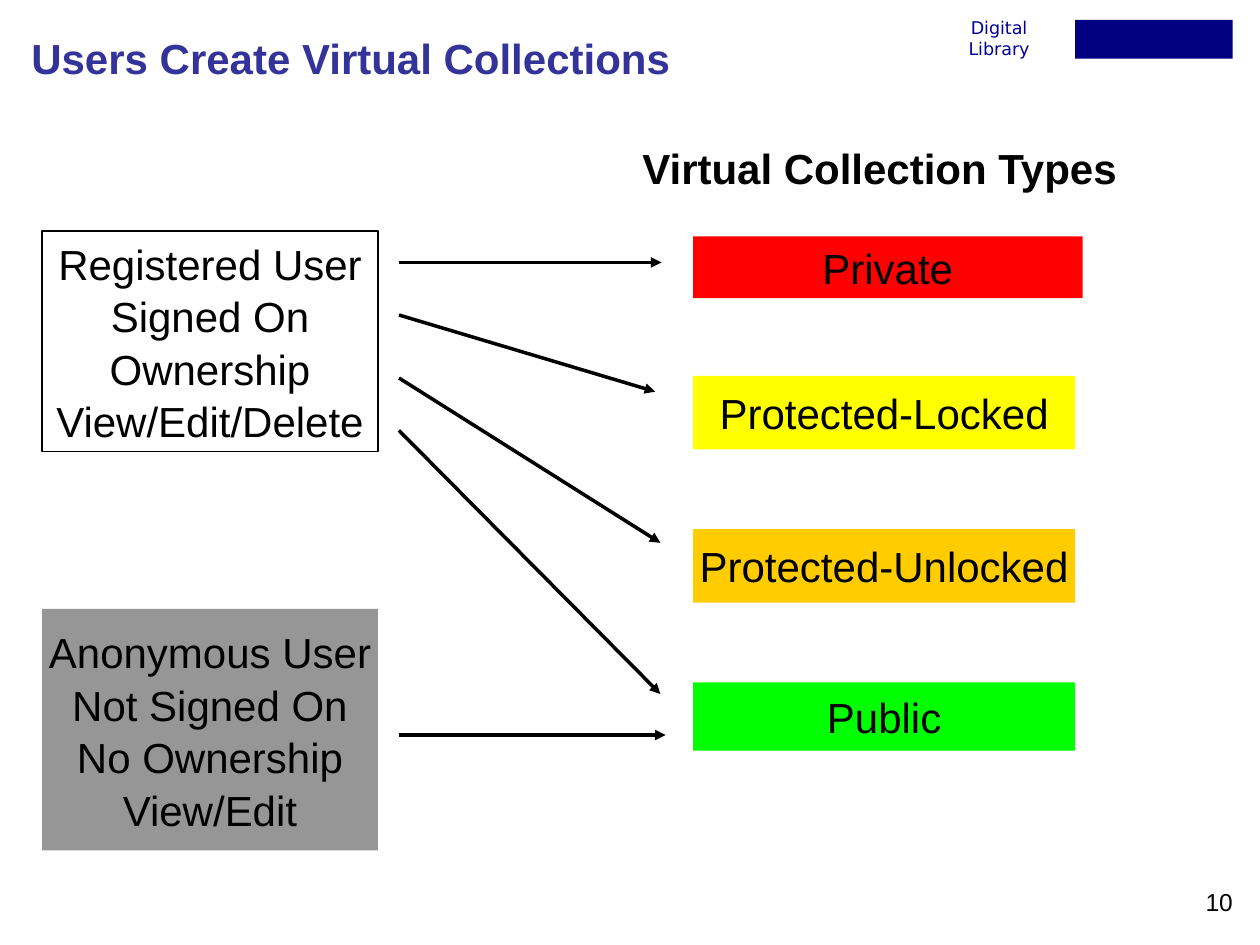
from dataclasses import dataclass

from lxml import etree
from pptx import Presentation
from pptx.dml.color import RGBColor
from pptx.enum.shapes import MSO_CONNECTOR, MSO_SHAPE
from pptx.enum.text import MSO_ANCHOR, PP_ALIGN
from pptx.oxml.ns import qn
from pptx.util import Inches, Length, Pt

RECTANGLE = MSO_SHAPE.RECTANGLE
STRAIGHT = MSO_CONNECTOR.STRAIGHT
TOP, MIDDLE = MSO_ANCHOR.TOP, MSO_ANCHOR.MIDDLE
LEFT, CENTER, RIGHT = PP_ALIGN.LEFT, PP_ALIGN.CENTER, PP_ALIGN.RIGHT

# The slide is a grid of 120 columns by 90 rows, twelve to the inch
COLUMNS, ROWS, CELLS_PER_INCH = 120, 90, 12

COLORS = {
    "black": "000000", "navy": "000080", "label": "000099", "title": "333399",
    "grey": "969696", "red": "FF0000", "yellow": "FFFF00",
    "orange": "FFCC00", "green": "00FF00",
}
BODY = {"name": "Arial", "size": Pt(24), "bold": False}
HEADING = BODY | {"bold": True}
NUMBER = BODY | {"size": Pt(14)}
LABEL = {"name": "DejaVu Sans", "size": Pt(10), "bold": False}


@dataclass
class Block:
    """A filled or outlined rectangle; lengths are grid cells."""
    column: float
    row: float
    width: float
    height: float
    lines: tuple[str, ...] = ()
    fill: str | None = None
    outline: str | None = None


@dataclass
class Caption:
    """Free text; lengths are grid cells."""
    text: str
    column: float
    row: float
    width: float
    height: float
    style: dict
    color: str
    align: PP_ALIGN = LEFT
    anchor: MSO_ANCHOR = TOP
    wrap: bool = True
    padded: bool = True


@dataclass
class Arrow:
    """Start row, and end column and row."""
    start_row: float
    end_column: float
    end_row: float


USER_COLUMN, USER_WIDTH = 4, 32
ARROW_COLUMN = 38
TYPE_COLUMN, TYPE_WIDTH = 66, 36.4

BLOCKS = [
    # Plain block in the corner
    Block(102.4, 1.9, 15, 3.7, fill="navy"),
    # Users
    Block(USER_COLUMN, 58, USER_WIDTH, 23,
          ("Anonymous User", "Not Signed On", "No Ownership", "View/Edit"),
          fill="grey"),
    Block(USER_COLUMN, 22, USER_WIDTH, 21,
          ("Registered User", "Signed On", "Ownership", "View/Edit/Delete"),
          outline="black"),
    # Collection types
    Block(TYPE_COLUMN, 22.5, 37.1, 5.9, ("Private",), fill="red"),
    Block(TYPE_COLUMN, 35.8, TYPE_WIDTH, 7, ("Protected-Locked",), fill="yellow"),
    Block(TYPE_COLUMN, 50.4, TYPE_WIDTH, 7, ("Protected-Unlocked",), fill="orange"),
    Block(TYPE_COLUMN, 65, TYPE_WIDTH, 6.5, ("Public",), fill="green"),
]

CAPTIONS = [
    Caption("Digital Library", 89.5, 2.6, 11.3, 2, LABEL, "label",
            CENTER, MIDDLE, wrap=False, padded=False),
    Caption("Users Create Virtual Collections", 1.8, 2.5, 82.4, 6, HEADING, "title"),
    Caption("Virtual Collection Types", 60, 13, 47.9, 6, HEADING, "black", wrap=False),
    Caption("10", 105.6, 83.9, 13, 3.8, NUMBER, "black", RIGHT),
]

ARROWS = [
    Arrow(25, 63, 25),
    Arrow(30, 62.4, 37.3),
    Arrow(36, 62.9, 51.7),
    Arrow(41, 62.9, 66.1),
    Arrow(70, 63.4, 70),
]


def cells(count: float) -> Length:
    return Inches(count / CELLS_PER_INCH)


def rgb(name: str) -> RGBColor:
    return RGBColor.from_string(COLORS[name])


def write_lines(frame, lines: tuple[str, ...], style: dict, color: str,
                align: PP_ALIGN) -> None:
    for index, line in enumerate(lines):
        para = frame.paragraphs[0] if index == 0 else frame.add_paragraph()
        para.alignment = align
        if len(lines) > 1:
            para.line_spacing = 1.04
        span = para.add_run()
        span.text = line
        for name, value in style.items():
            setattr(span.font, name, value)
        span.font.color.rgb = rgb(color)


def draw_block(page, block: Block) -> None:
    box = page.shapes.add_shape(
        RECTANGLE, cells(block.column), cells(block.row),
        cells(block.width), cells(block.height))
    box.shadow.inherit = False
    if block.fill:
        box.fill.solid()
        box.fill.fore_color.rgb = rgb(block.fill)
    else:
        box.fill.background()
    if block.outline:
        box.line.color.rgb = rgb(block.outline)
        box.line.width = Pt(0.75)
    else:
        box.line.fill.background()
    if block.lines:
        box.text_frame.word_wrap = False
        box.text_frame.vertical_anchor = MIDDLE
        write_lines(box.text_frame, block.lines, BODY, "black", CENTER)


def draw_caption(page, caption: Caption) -> None:
    box = page.shapes.add_textbox(
        cells(caption.column), cells(caption.row),
        cells(caption.width), cells(caption.height))
    frame = box.text_frame
    frame.word_wrap = caption.wrap
    frame.vertical_anchor = caption.anchor
    if not caption.padded:
        for side in ("left", "top", "right", "bottom"):
            setattr(frame, f"margin_{side}", 0)
    write_lines(frame, (caption.text,), caption.style, caption.color, caption.align)


def draw_arrow(page, arrow: Arrow) -> None:
    connector = page.shapes.add_connector(
        STRAIGHT, cells(ARROW_COLUMN), cells(arrow.start_row),
        cells(arrow.end_column), cells(arrow.end_row))
    connector.line.color.rgb = rgb("black")
    connector.line.width = Pt(2)
    etree.SubElement(connector.line._get_or_add_ln(), qn("a:tailEnd"), type="triangle")
    etree.SubElement(connector._element.spPr, qn("a:effectLst"))


def main() -> None:
    deck = Presentation()
    deck.slide_width, deck.slide_height = cells(COLUMNS), cells(ROWS)
    page = deck.slides.add_slide(deck.slide_layouts[6])
    for block in BLOCKS:
        draw_block(page, block)
    for caption in CAPTIONS:
        draw_caption(page, caption)
    for arrow in ARROWS:
        draw_arrow(page, arrow)
    deck.save("out.pptx")


if __name__ == "__main__":
    main()
